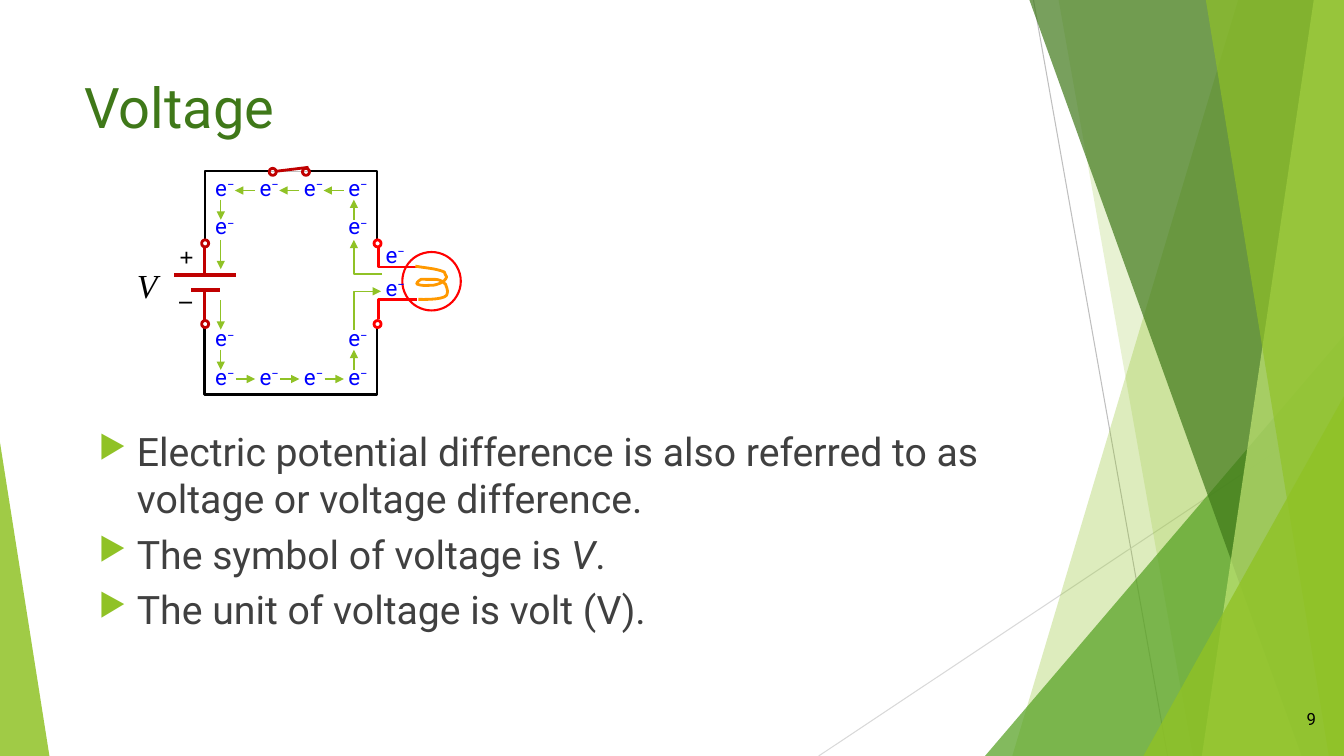
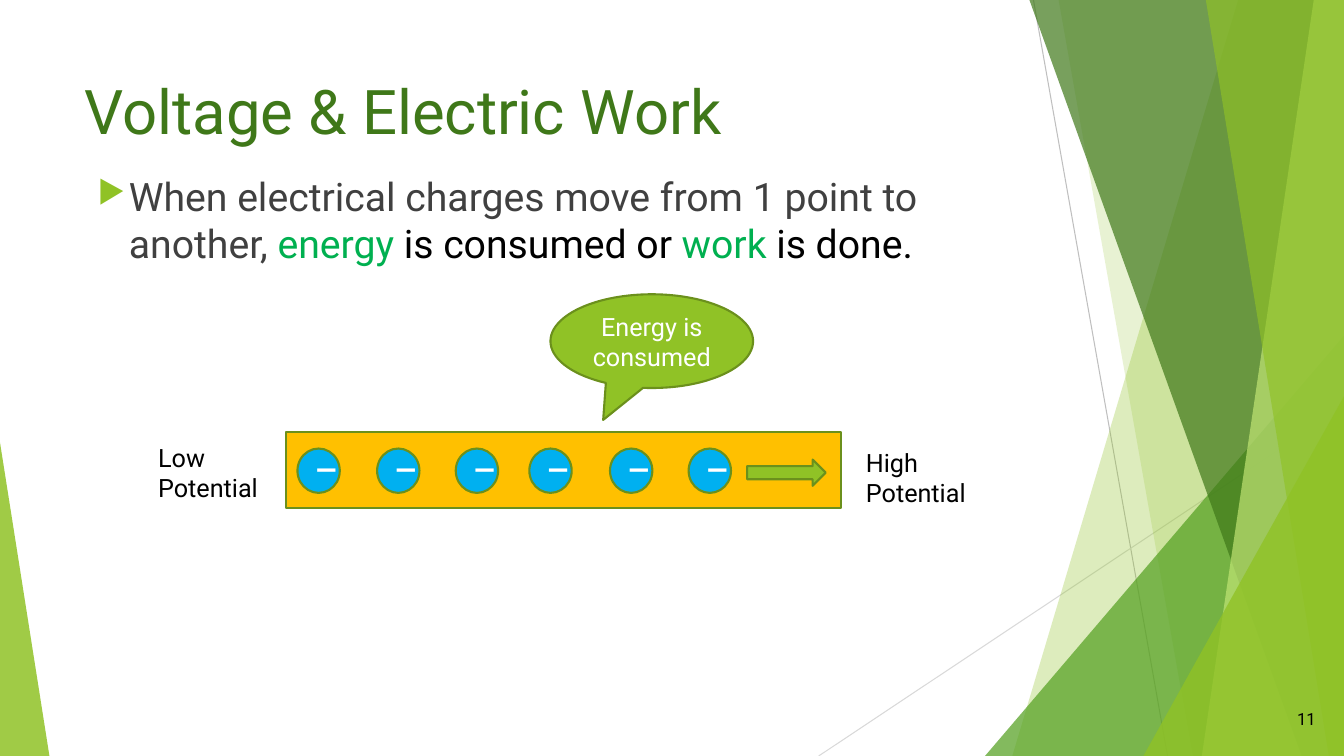
from dataclasses import dataclass
from typing import Optional

from lxml.etree import SubElement
from pptx import Presentation
from pptx.dml.color import RGBColor
from pptx.enum.shapes import MSO_CONNECTOR, MSO_SHAPE
from pptx.enum.text import MSO_ANCHOR, PP_ALIGN
from pptx.oxml.ns import qn
from pptx.util import Inches, Pt

COLUMNS, ROWS = 13.33, 7.5
WIDTH, HEIGHT = Inches(COLUMNS), Inches(ROWS)
COLORS = {
    "lime": "90C226", "green": "54A021", "forest": "3F7819", "pale": "C0E474",
    "outline": "6B901C", "emerald": "00B050", "silver": "BFBFBF", "mist": "D9D9D9",
    "text": "404040", "black": "000000", "white": "FFFFFF", "crimson": "C00000",
    "red": "FF0000", "filament": "FF9900", "amber": "FFC000", "sky": "00B0F0",
    "blue": "0000FF",
}
Point = tuple[float, float]


@dataclass(frozen=True)
class Box:
    """A rectangle in grid columns and rows."""
    left: float
    top: float
    width: float
    height: float


@dataclass(frozen=True)
class Run:
    """A stretch of text that may differ from its style."""
    text: str
    color: Optional[str] = None
    italic: bool = False
    raised: bool = False


@dataclass(frozen=True)
class Style:
    """The look shared by the paragraphs of one box."""
    size: float
    color: str = "black"
    font: str = "Roboto"
    bold: bool = False
    align: PP_ALIGN = PP_ALIGN.LEFT
    anchor: MSO_ANCHOR = MSO_ANCHOR.TOP
    wrap: bool = True
    margin: float = 0
    hang: float = 0
    before: float = 0
    spacing: Optional[float] = None


@dataclass(frozen=True)
class Facet:
    """A translucent piece of the background."""
    color: str
    opacity: int
    points: tuple[Point, ...]


@dataclass(frozen=True)
class Wire:
    """An open line through several points."""
    color: str
    weight: float
    points: tuple[Point, ...]
    arrow: bool = False


FACETS = (
    Facet("lime", 30, ((12.28, 0), (COLUMNS, 0), (COLUMNS, ROWS), (10.04, ROWS))),
    Facet("lime", 20, ((10.5, 0), (COLUMNS, 0), (COLUMNS, ROWS), (11.83, ROWS))),
    Facet("green", 72, ((COLUMNS, 3.33), (COLUMNS, ROWS), (9.77, ROWS))),
    Facet("forest", 70, ((10.21, 0), (COLUMNS, 0), (COLUMNS, ROWS), (12.91, ROWS))),
    Facet("pale", 70, ((13.03, 0), (COLUMNS, 0), (COLUMNS, ROWS), (11.92, ROWS))),
    Facet("lime", 65, ((11.96, 0), (COLUMNS, 0), (COLUMNS, ROWS), (13.18, ROWS))),
    Facet("lime", 80, ((COLUMNS, 3.93), (COLUMNS, ROWS), (11.34, ROWS))),
    Facet("lime", 85, ((0, 4.39), (0.49, ROWS), (0, ROWS))),
)
RAYS = (
    Wire("silver", 0.75, ((10.25, 0), (11.58, ROWS))),
    Wire("mist", 0.75, ((COLUMNS, 4.03), (8.12, ROWS))),
)
LEFT, RIGHT, TOP, BOTTOM = 2.03, 3.74, 1.7, 3.91
FLOW_LEFT, FLOW_RIGHT, FLOW_TOP, FLOW_BOTTOM = 2.19, 3.51, 1.89, 3.76
ELECTRON_STEP = 0.44
CIRCUIT = (
    Wire("silver", 0.25, ((LEFT, 2.37), (LEFT, TOP), (RIGHT, TOP), (RIGHT, 2.37))),
    Wire("black", 2, ((LEFT, 3.24), (LEFT, BOTTOM), (RIGHT, BOTTOM), (RIGHT, 3.24))),
    Wire("black", 1.5, ((LEFT, 2.37), (LEFT, TOP), (2.66, TOP))),
    Wire("black", 1.5, ((RIGHT, 2.37), (RIGHT, TOP), (3.06, TOP))),
    Wire("crimson", 3, ((2.34, 2.73), (1.73, 2.73))),
    Wire("crimson", 3, ((2.18, 2.88), (1.89, 2.88))),
    Wire("crimson", 2, ((LEFT, 2.88), (LEFT, 3.18))),
    Wire("crimson", 2, ((LEFT, 2.74), (LEFT, 2.44))),
    Wire("red", 2, ((3.75, 2.45), (3.75, 2.65), (4.14, 2.65))),
    Wire("red", 2, ((3.75, 3.16), (3.75, 2.97), (4.14, 2.97))),
    Wire("crimson", 2, ((3.06, 1.66), (2.73, TOP))),
)
FLOWS = tuple(Wire("lime", 1, points, True) for points in (
    *(((FLOW_LEFT, start), (FLOW_LEFT, end))
      for start, end in ((1.98, 2.18), (2.38, 2.67), (2.98, 3.27), (3.47, 3.67))),
    *(((FLOW_RIGHT, start), (FLOW_RIGHT, end)) for start, end in ((3.67, 3.47), (2.18, 1.98))),
    *(((2.34 + ELECTRON_STEP * step, FLOW_BOTTOM), (2.53 + ELECTRON_STEP * step, FLOW_BOTTOM))
      for step in range(3)),
    *(((2.53 + ELECTRON_STEP * step, FLOW_TOP), (2.33 + ELECTRON_STEP * step, FLOW_TOP))
      for step in range(3)),
    ((FLOW_RIGHT, 3.27), (FLOW_RIGHT, 2.89), (3.78, 2.89)),
    ((3.79, 2.72), (FLOW_RIGHT, 2.72), (FLOW_RIGHT, 2.38)),
))
FILAMENT = (
    (4.12, 2.64), (4.21, 2.66), (4.32, 2.66), (4.41, 2.7), (4.41, 2.72), (4.43, 2.74),
    (4.43, 2.75), (4.41, 2.8), (4.35, 2.82), (4.3, 2.83), (4.25, 2.83), (4.19, 2.84),
    (4.14, 2.82), (4.12, 2.81), (4.16, 2.78), (4.18, 2.77), (4.33, 2.78), (4.34, 2.75),
    (4.42, 2.82), (4.43, 2.86), (4.45, 2.88), (4.43, 2.93), (4.39, 2.98), (4.17, 2.97),
    (4.15, 2.97),
)
RINGS = (
    ("crimson", LEFT, 3.21), ("crimson", LEFT, 2.41), ("red", RIGHT, 2.41),
    ("red", RIGHT, 3.21), ("crimson", 3.03, TOP), ("crimson", 2.7, TOP),
)
CHARGE_LEFTS = (2.95, 3.74, 4.52, 5.25, 6.05, 6.83)
LABEL = Style(18)


def across(columns: float) -> int:
    """Turn grid columns into a length."""
    return round(WIDTH * columns / COLUMNS)


def down(rows: float) -> int:
    """Turn grid rows into a length."""
    return round(HEIGHT * rows / ROWS)


def color_of(name: str) -> RGBColor:
    """Look up a colour by name."""
    return RGBColor.from_string(COLORS[name])


def paint(shape, fill: Optional[str], line: Optional[str] = None, weight: float = 1.5) -> None:
    """Set fill and line and drop the shadow."""
    if fill:
        shape.fill.solid()
        shape.fill.fore_color.rgb = color_of(fill)
    else:
        shape.fill.background()
    if line:
        shape.line.color.rgb = color_of(line)
        shape.line.width = Pt(weight)
    else:
        shape.line.fill.background()
    shape.shadow.inherit = False


def add_bullet(paragraph, style: Style) -> None:
    """Give a paragraph a hanging triangular bullet."""
    properties = paragraph._p.get_or_add_pPr()
    properties.set("marL", str(across(style.margin)))
    properties.set("indent", str(-across(style.hang)))
    bullet_color = SubElement(properties, qn("a:buClr"))
    SubElement(bullet_color, qn("a:srgbClr"), val=COLORS["lime"])
    SubElement(properties, qn("a:buSzPct"), val="80000")
    SubElement(properties, qn("a:buChar"), char="▶")


def write(shape, style: Style, *paragraphs: tuple[Run, ...]) -> None:
    """Fill a shape with styled paragraphs."""
    frame = shape.text_frame
    frame.word_wrap = style.wrap
    frame.vertical_anchor = style.anchor
    for index, runs in enumerate(paragraphs):
        paragraph = frame.add_paragraph() if index else frame.paragraphs[0]
        if style.hang:
            add_bullet(paragraph, style)
        paragraph.alignment = style.align
        if index and style.before:
            paragraph.space_before = Pt(style.before)
        if style.spacing:
            paragraph.line_spacing = Pt(style.spacing)
        for part in runs:
            run = paragraph.add_run()
            run.text = part.text
            run.font.name = style.font
            run.font.size = Pt(style.size)
            run.font.bold = style.bold
            run.font.italic = part.italic
            run.font.color.rgb = color_of(part.color or style.color)
            if part.raised:
                run._r.get_or_add_rPr().set("baseline", "30000")


def add_text(slide, box: Box, style: Style, *paragraphs: tuple[Run, ...]) -> None:
    """Add a text box."""
    shape = slide.shapes.add_textbox(
        across(box.left), down(box.top), across(box.width), down(box.height))
    write(shape, style, *paragraphs)


def add_figure(slide, kind: MSO_SHAPE, box: Box, fill: Optional[str], line: str,
               weight: float = 1.5):
    """Add a painted preset shape."""
    shape = slide.shapes.add_shape(
        kind, across(box.left), down(box.top), across(box.width), down(box.height))
    paint(shape, fill, line, weight)
    return shape


def add_outline(slide, points: tuple[Point, ...], closed: bool):
    """Add a freeform through grid points."""
    first, *others = [(across(x), down(y)) for x, y in points]
    builder = slide.shapes.build_freeform(*first)
    builder.add_line_segments(others, close=closed)
    return builder.convert_to_shape()


def add_wire(slide, wire: Wire) -> None:
    """Draw a wire as a connector or an open freeform."""
    if len(wire.points) == 2:
        (x1, y1), (x2, y2) = wire.points
        shape = slide.shapes.add_connector(
            MSO_CONNECTOR.STRAIGHT, across(x1), down(y1), across(x2), down(y2))
        shape.line.color.rgb = color_of(wire.color)
        shape.line.width = Pt(wire.weight)
        SubElement(shape.element.spPr, qn("a:effectLst"))
    else:
        shape = add_outline(slide, wire.points, False)
        paint(shape, None, wire.color, wire.weight)
    if wire.arrow:
        SubElement(shape.element.spPr.find(qn("a:ln")), qn("a:tailEnd"), type="triangle")


def curve(knots: tuple[Point, ...], steps: int = 8) -> tuple[Point, ...]:
    """Sample a chain of cubic curves."""
    points = [knots[0]]
    for start in range(0, len(knots) - 1, 3):
        controls = knots[start:start + 4]
        for step in range(1, steps + 1):
            t = step / steps
            weights = ((1 - t) ** 3, 3 * t * (1 - t) ** 2, 3 * t * t * (1 - t), t ** 3)
            points.append(tuple(
                sum(weight * knot[axis] for weight, knot in zip(weights, controls))
                for axis in (0, 1)))
    return tuple(points)


def add_base(presentation, title: str, title_size: float, number: int):
    """Add a slide with its background, title and number."""
    slide = presentation.slides.add_slide(presentation.slide_layouts[6])
    for ray in RAYS:
        add_wire(slide, ray)
    for facet in FACETS:
        shape = add_outline(slide, facet.points, True)
        paint(shape, facet.color)
        tint = shape.element.spPr.find(qn("a:solidFill")).find(qn("a:srgbClr"))
        SubElement(tint, qn("a:alpha"), val=str(facet.opacity * 1000))
    add_text(slide, Box(0.74, 0.67, 9.4, 1), Style(title_size, "forest"), (Run(title),))
    add_text(slide, Box(12.4, 6.93, 0.75, 0.4),
             Style(12, align=PP_ALIGN.RIGHT, anchor=MSO_ANCHOR.MIDDLE), (Run(str(number)),))
    return slide


def add_circuit(slide) -> None:
    """Draw the battery, switch, lamp and moving electrons."""
    for wire in CIRCUIT:
        add_wire(slide, wire)
    add_wire(slide, Wire("filament", 2, curve(FILAMENT)))
    add_figure(slide, MSO_SHAPE.OVAL, Box(3.99, 2.5, 0.58, 0.58), None, "red")
    for color, x, y in RINGS:
        add_figure(slide, MSO_SHAPE.OVAL, Box(x - 0.03, y - 0.03, 0.07, 0.07), None, color, 2)
    add_text(slide, Box(1.26, 2.58, 0.41, 0.51), Style(24, font="Times New Roman", wrap=False),
             (Run("V", italic=True),))
    for sign, top in (("+", 2.34), ("_", 2.68)):
        add_text(slide, Box(1.68, top, 0.34, 0.4),
                 Style(18, font="Times New Roman", bold=True, wrap=False), (Run(sign),))
    places = [(1.98 + ELECTRON_STEP * column, top) for top in (1.68, 2.06, 3.17, 3.55)
              for column in (range(4) if top in (1.68, 3.55) else (0, 3))]
    for left, top in (*places, (3.67, 2.67), (3.67, 2.34)):
        add_text(slide, Box(left, top, 0.5, 0.37), Style(16, "blue", align=PP_ALIGN.CENTER),
                 (Run("e"), Run("−", raised=True)))
    for flow in FLOWS:
        add_wire(slide, flow)


def add_conductor(slide) -> None:
    """Draw the charges moving from low to high potential."""
    centered = Style(18, "white", align=PP_ALIGN.CENTER, anchor=MSO_ANCHOR.MIDDLE)
    callout = add_figure(slide, MSO_SHAPE.OVAL_CALLOUT, Box(5.46, 2.92, 2.01, 0.93),
                         "lime", "outline")
    callout.adjustments[0], callout.adjustments[1] = -0.24, 0.84
    write(callout, centered, (Run("Energy is consumed"),))
    add_figure(slide, MSO_SHAPE.RECTANGLE, Box(2.84, 4.29, 5.5, 0.75), "amber", "outline")
    add_text(slide, Box(8.49, 4.39, 1.37, 0.71), LABEL, (Run("High Potential"),))
    add_text(slide, Box(1.47, 4.34, 1.37, 0.71), LABEL, (Run("Low"),), (Run("Potential"),))
    minus = Style(32, "white", align=PP_ALIGN.CENTER, anchor=MSO_ANCHOR.MIDDLE, spacing=35)
    for left in CHARGE_LEFTS:
        charge = add_figure(slide, MSO_SHAPE.OVAL, Box(left, 4.45, 0.42, 0.44), "sky", "outline")
        write(charge, minus, (Run("−"),))
    add_figure(slide, MSO_SHAPE.RIGHT_ARROW, Box(7.41, 4.56, 0.78, 0.26), "lime", "outline")


def main() -> None:
    """Build and save the presentation."""
    presentation = Presentation()
    presentation.slide_width, presentation.slide_height = WIDTH, HEIGHT
    slide = add_base(presentation, "Voltage", 40, 9)
    add_text(slide, Box(0.88, 4.19, 10.23, 2.15),
             Style(28, "text", margin=0.38, hang=0.38, before=6),
             (Run("Electric potential difference is also referred to as "
                  "voltage or voltage difference."),),
             (Run("The symbol of voltage is "), Run("V", italic=True), Run(".")),
             (Run("The unit of voltage is volt (V)."),))
    add_circuit(slide)
    slide = add_base(presentation, "Voltage & Electric Work", 44, 11)
    add_text(slide, Box(0.37, 1.66, 9.4, 1.1), Style(28, "text", margin=0.81, hang=0.31),
             (Run("When electrical charges move from 1 point to another, "),
              Run("energy ", "emerald"), Run("is consumed or", "black"),
              Run(" work ", "emerald"), Run("is done.", "black")))
    add_conductor(slide)
    presentation.save("out.pptx")


if __name__ == "__main__":
    main()
